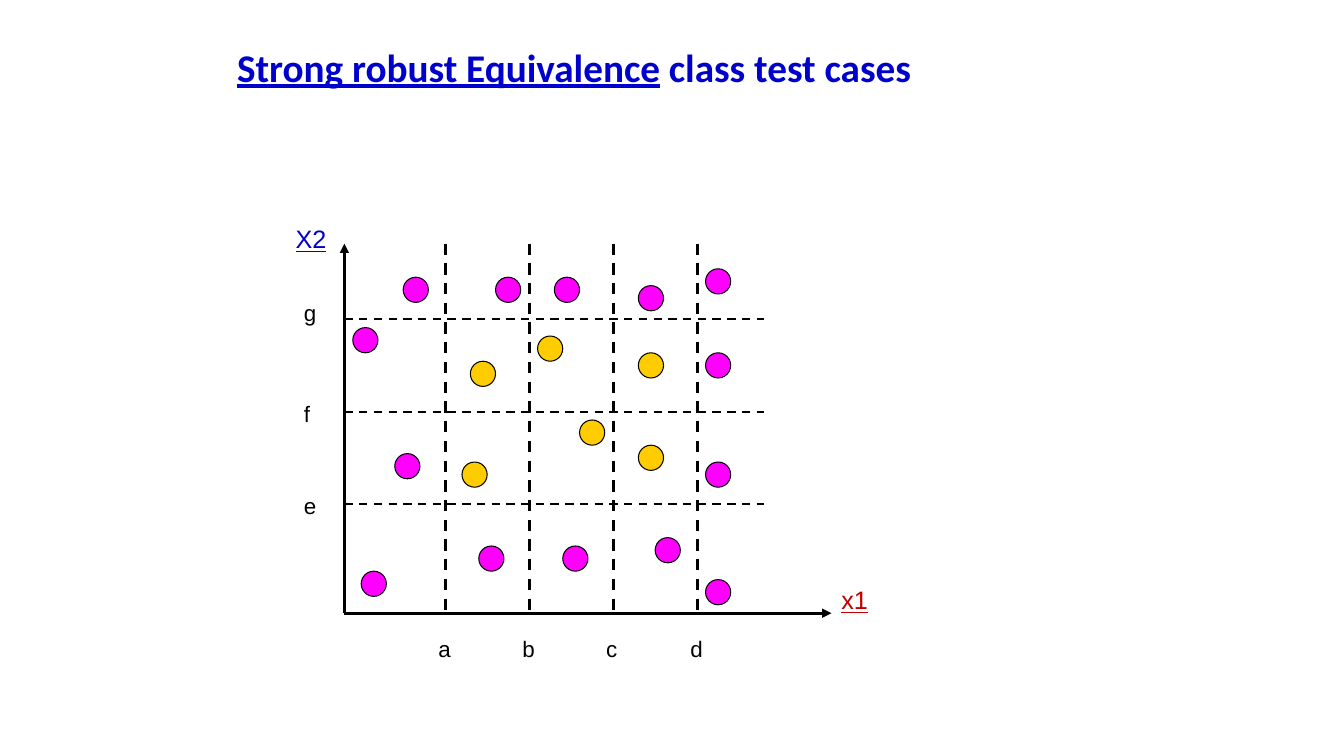
from lxml import etree
from pptx import Presentation, util as u
from pptx.dml.color import RGBColor
from pptx.enum import dml, shapes, text
from pptx.oxml.ns import qn

COLORS = {"black": "000000", "blue": "0000CC", "red": "C00000",
          "valid": "FFCC00", "invalid": "FF00FF"}

# Plot measures are in grid steps of a twelfth of an inch, from its top left corner
STEP = 2.54 / 12
PLOT_HEIGHT, AXIS_LENGTH, ROW_LENGTH, DOT_SIZE = 44, 58, 50, 3
# name: (line position, label offset, label width)
COLUMNS = {"a": (12, -2, 4), "b": (22, -2, 4), "c": (32, -2, 3.7), "d": (42, -2, 4)}
ROWS = {"e": (31, -2, 4), "f": (20, -2, 3.2), "g": (9, -3, 4)}
DOTS = {
    "valid": [(23, 11), (35, 24), (14, 26), (35, 13), (28, 21), (15, 14)],
    "invalid": [(7, 4), (35, 5), (1, 10), (6, 25), (2, 39), (16, 36), (26, 36),
                (37, 35), (25, 4), (18, 4), (43, 3), (43, 13), (43, 26), (43, 40)],
}


def color(name):
    return RGBColor.from_string(COLORS[name])


def steps(count):
    return u.Cm(STEP * count)


def add_span(para, words, size=16, font="Arial", ink="black", bold=False, underline=False):
    span = para.add_run()
    span.text = words
    span.font.size = u.Pt(size)
    span.font.name = font
    span.font.bold = bold
    span.font.underline = underline
    span.font.color.rgb = color(ink)


def add_label(page, words, left, top, width, height=4.4, wrap=False, **style):
    box = page.shapes.add_textbox(left, top, steps(width), steps(height))
    box.text_frame.word_wrap = wrap
    box.text_frame.auto_size = text.MSO_AUTO_SIZE.SHAPE_TO_FIT_TEXT
    add_span(box.text_frame.paragraphs[0], words, **style)


def add_line(page, start, end, width, dashed=False, arrow=False):
    line = page.shapes.add_connector(shapes.MSO_CONNECTOR.STRAIGHT, *start, *end)
    line.line.color.rgb = color("black")
    line.line.width = u.Pt(width)
    if dashed:
        line.line.dash_style = dml.MSO_LINE.DASH
    if arrow:
        etree.SubElement(line.line._get_or_add_ln(), qn("a:tailEnd"), type="triangle")
    etree.SubElement(line._element.spPr, qn("a:effectLst"))


def add_dot(page, left, top, kind):
    dot = page.shapes.add_shape(shapes.MSO_SHAPE.OVAL, left, top,
                                steps(DOT_SIZE), steps(DOT_SIZE))
    dot.shadow.inherit = False
    dot.fill.solid()
    dot.fill.fore_color.rgb = color(kind)
    dot.line.color.rgb = color("black")
    dot.line.width = u.Pt(0.75)


def build_title(page, left, top, width, height):
    title = page.shapes.title
    title.left, title.top, title.width, title.height = left, top, width, height
    frame = title.text_frame
    frame.word_wrap = True
    frame.auto_size = text.MSO_AUTO_SIZE.NONE
    frame.vertical_anchor = text.MSO_ANCHOR.MIDDLE
    para = frame.paragraphs[0]
    para.alignment = text.PP_ALIGN.LEFT
    para.line_spacing = 0.9
    style = {"size": 28, "font": "Calibri", "bold": True}
    add_span(para, " ", **style)
    add_span(para, "Strong robust Equivalence", ink="blue", underline=True, **style)
    add_span(para, " class test cases", ink="blue", **style)


def build_plot(page, left, top):
    def at(x, y):
        return left + steps(x), top + steps(y)

    # Axes and their names
    origin = at(0, PLOT_HEIGHT)
    for end in (at(0, 0), at(AXIS_LENGTH, PLOT_HEIGHT)):
        add_line(page, origin, end, 2.25, arrow=True)
    add_label(page, "X2", *at(-7, -3), 6.1, 4.8, size=18, ink="blue", underline=True)
    add_label(page, "x1", *at(AXIS_LENGTH, 40), 7, 4.8, wrap=True,
              size=18, ink="red", underline=True)

    # Class boundaries with their letters
    for name, (y, offset, width) in ROWS.items():
        add_line(page, at(0, y), at(ROW_LENGTH, y), 1.5, dashed=True)
        add_label(page, name, *at(-6, y + offset), width)
    for name, (x, offset, width) in COLUMNS.items():
        add_line(page, at(x, 0), at(x, PLOT_HEIGHT), 2, dashed=True)
        add_label(page, name, *at(x + offset, PLOT_HEIGHT + 2), width)

    # Test cases
    for kind, places in DOTS.items():
        for place in places:
            add_dot(page, *at(*place), kind)


def main():
    deck = Presentation()
    deck.slide_width, deck.slide_height = u.Cm(33.87), u.Cm(19.05)
    page = deck.slides.add_slide(deck.slide_layouts.get_by_name("Title Only"))
    build_title(page, u.Cm(5.5), u.Cm(0.76), u.Cm(22.86), u.Cm(1.98))
    build_plot(page, steps(41), steps(29))
    deck.save("out.pptx")


if __name__ == "__main__":
    main()
